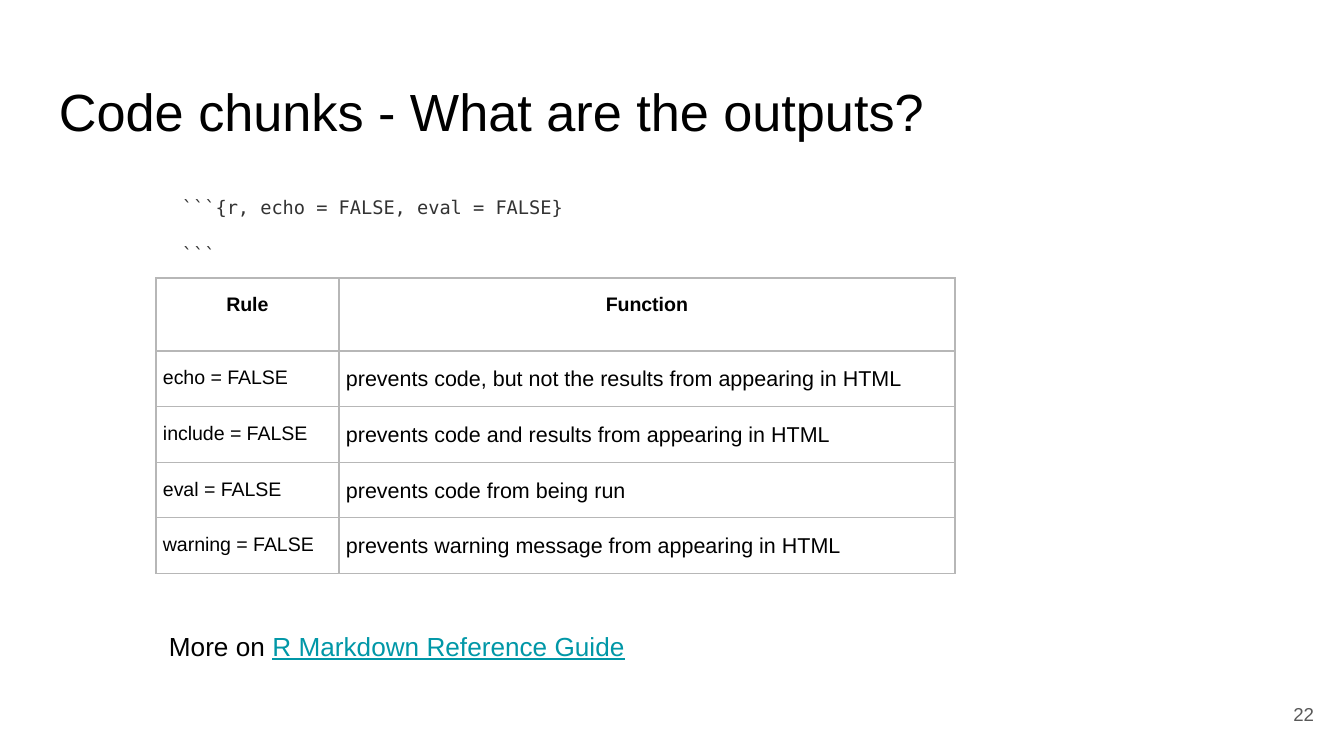
import pptx
import pptx.util
import pptx.dml.color
import pptx.enum.text
import pptx.oxml.ns
import lxml.etree

PX = 914400 / 134.4  # EMU in one px
COLORS = {
    "ink": "000000",
    "code": "333333",
    "link": "0097A7",
    "number": "595959",
    "border": "B7B7B7",
    "paper": "FFFFFF",
}
ALIGN = pptx.enum.text.PP_ALIGN
ANCHOR = pptx.enum.text.MSO_ANCHOR
RULES = [
    ("Rule", "Function"),
    ("echo = FALSE", "prevents code, but not the results from appearing in HTML"),
    ("include = FALSE", "prevents code and results from appearing in HTML"),
    ("eval = FALSE", "prevents code from being run"),
    ("warning = FALSE", "prevents warning message from appearing in HTML"),
]


def px(length):
    return pptx.util.Emu(round(length * PX))


def rgb(name):
    return pptx.dml.color.RGBColor.from_string(COLORS[name])


def apply(target, values):
    for attribute, value in values.items():
        setattr(target, attribute, value)


def add_run(paragraph, text, size, color="ink", name="Arial", **font):
    run = paragraph.add_run()
    run.text = text
    apply(run.font, {"size": pptx.util.Pt(size), "name": name, **font})
    run.font.color.rgb = rgb(color)


def add_text_frame(slide, left, top, width, height, anchor=ANCHOR.TOP):
    box = slide.shapes.add_textbox(px(left), px(top), px(width), px(height))
    margins = dict.fromkeys(
        ("margin_left", "margin_top", "margin_right", "margin_bottom"), px(13))
    apply(box.text_frame, {"word_wrap": True, "vertical_anchor": anchor, **margins})
    return box.text_frame


def set_borders(cell):
    properties = cell._tc.get_or_add_tcPr()
    for position, side in enumerate(("a:lnL", "a:lnR", "a:lnT", "a:lnB")):
        line = lxml.etree.Element(pptx.oxml.ns.qn(side), w=str(pptx.util.Pt(0.75)))
        fill = lxml.etree.SubElement(line, pptx.oxml.ns.qn("a:solidFill"))
        lxml.etree.SubElement(fill, pptx.oxml.ns.qn("a:srgbClr"), val=COLORS["border"])
        properties.insert(position, line)


def fill_cell(cell, text, size, header):
    apply(cell, {"margin_left": px(7), "margin_right": px(7),
                 "margin_top": px(13), "margin_bottom": px(13)})
    cell.fill.solid()
    cell.fill.fore_color.rgb = rgb("paper")
    set_borders(cell)
    paragraph = cell.text_frame.paragraphs[0]
    apply(paragraph, {"line_spacing": 1.15,
                      "alignment": ALIGN.CENTER if header else ALIGN.LEFT})
    add_run(paragraph, text, size, bold=header)


def add_rules_table(slide):
    widths, heights = (183, 616), (73, 55, 55, 55, 55)
    table = slide.shapes.add_table(
        len(heights), len(widths), px(156), px(278),
        px(sum(widths)), px(sum(heights))).table
    apply(table, {"first_row": False, "horz_banding": False})
    for column, width in zip(table.columns, widths):
        column.width = px(width)
    for row, height, texts in zip(table.rows, heights, RULES):
        row.height = px(height)
        header = texts == RULES[0]
        sizes = (10.5, 10.5 if header else 11.5)
        for cell, text, size in zip(row.cells, texts, sizes):
            fill_cell(cell, text, size, header)


def add_code(slide):
    frame = add_text_frame(slide, 156, 159, 452, 133, ANCHOR.MIDDLE)
    opening, closing = frame.paragraphs[0], frame.add_paragraph()
    for paragraph, text in ((opening, "```{r, echo = FALSE, eval = FALSE}"),
                            (closing, "```")):
        paragraph.line_spacing = 1.43
        paragraph._p.get_or_add_pPr().set("marL", str(px(13)))
        add_run(paragraph, text, 10, "code", "DejaVu Sans Mono")
    apply(closing, {"space_before": pptx.util.Pt(8), "space_after": pptx.util.Pt(8)})


def main():
    deck = pptx.Presentation()
    apply(deck, {"slide_width": px(1344), "slide_height": px(756)})
    slide = deck.slides.add_slide(deck.slide_layouts[6])

    # Title
    title = add_text_frame(slide, 46, 66, 1253, 85)
    add_run(title.paragraphs[0], "Code chunks - What are the outputs?", 28)

    # Chunk options and what they do
    add_rules_table(slide)
    add_code(slide)

    # Further reading
    reference = add_text_frame(slide, 156, 617, 754, 69).paragraphs[0]
    add_run(reference, "More on ", 14)
    add_run(reference, "R Markdown Reference Guide", 14, "link", underline=True)

    # Slide number
    number = add_text_frame(slide, 1246, 685, 81, 58, ANCHOR.MIDDLE).paragraphs[0]
    number.alignment = ALIGN.RIGHT
    add_run(number, "22", 10, "number")

    deck.save("out.pptx")


if __name__ == "__main__":
    main()
